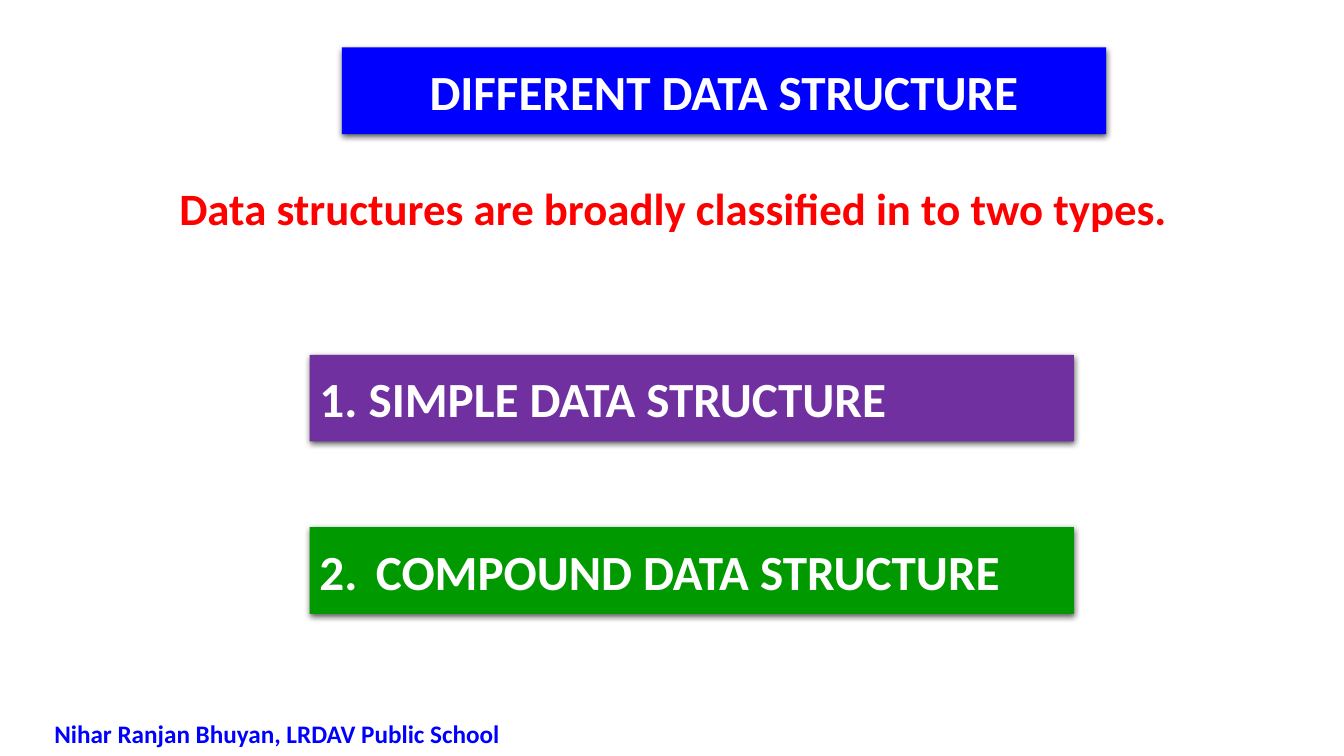
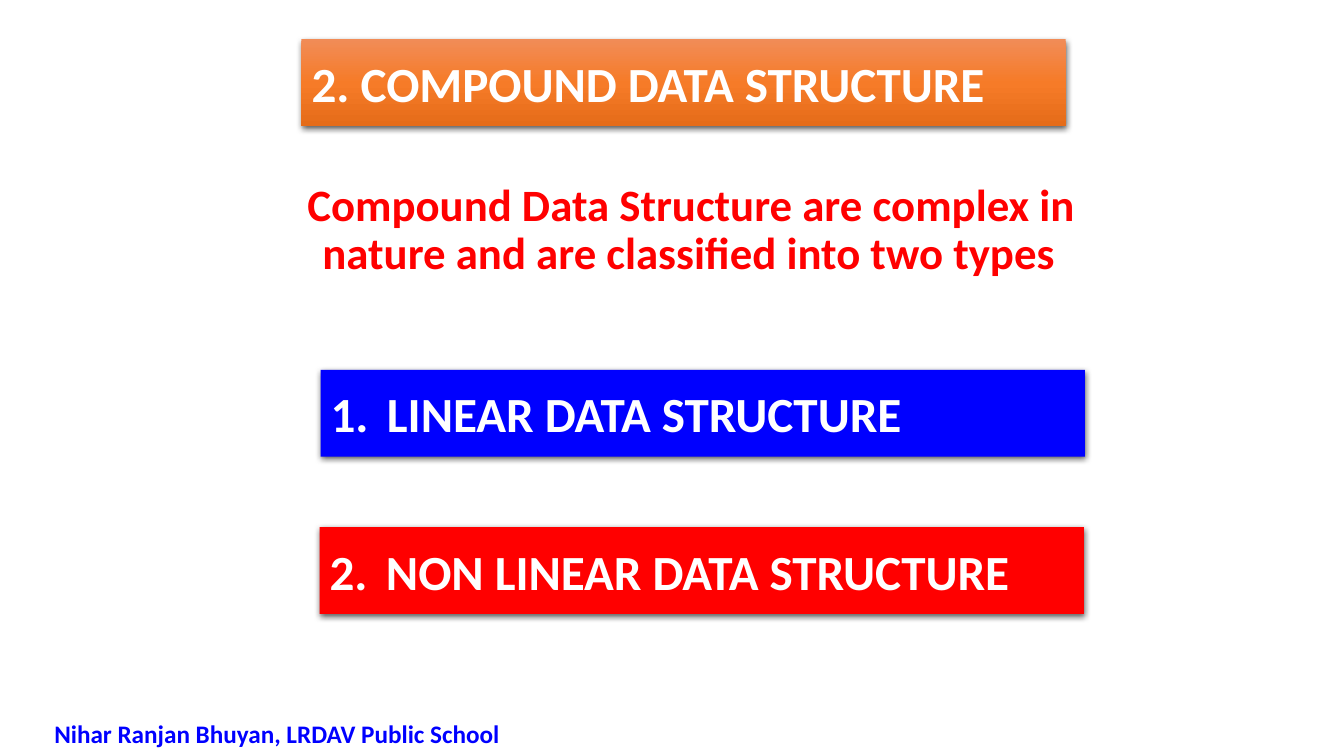
from copy import deepcopy
from dataclasses import dataclass

from lxml.etree import SubElement
from pptx import Presentation
from pptx.dml.color import RGBColor
from pptx.enum.shapes import MSO_SHAPE
from pptx.enum.text import MSO_ANCHOR, MSO_AUTO_SIZE, PP_ALIGN
from pptx.oxml.ns import qn
from pptx.shapes.autoshape import Shape
from pptx.slide import Slide
from pptx.text.text import TextFrame
from pptx.util import Inches, Length, Pt

WHITE = RGBColor(0xFF, 0xFF, 0xFF)
BLACK = RGBColor(0x00, 0x00, 0x00)
BLUE = RGBColor(0x00, 0x00, 0xFF)
RED = RGBColor(0xFF, 0x00, 0x00)
PURPLE = RGBColor(0x70, 0x30, 0xA0)
GREEN = RGBColor(0x00, 0x99, 0x00)
ORANGES = (
    RGBColor(0xF1, 0x8C, 0x57),
    RGBColor(0xF6, 0x7B, 0x28),
    RGBColor(0xE5, 0x6C, 0x19),
)

FONT = "Calibri"
BAND_WIDTH = Inches(7.58)
BAND_HEIGHT = Inches(0.86)
BAND_INDENT = Inches(0.56)
FOOTER = "Nihar Ranjan Bhuyan, LRDAV Public School"


@dataclass(frozen=True)
class Band:
    text: str
    left: float
    top: float
    colors: tuple[RGBColor, ...]
    align: PP_ALIGN = PP_ALIGN.LEFT


@dataclass(frozen=True)
class Intro:
    text: str
    left: float
    top: float
    width: float
    height: float
    first_line: float
    align: PP_ALIGN = PP_ALIGN.LEFT


@dataclass(frozen=True)
class Page:
    title: Band
    intro: Intro
    bands: tuple[Band, ...]


PAGES = (
    Page(
        Band("DIFFERENT DATA STRUCTURE", 3.39, 0.47, (BLUE,), PP_ALIGN.CENTER),
        Intro("Data structures are broadly classified in to two types.",
              1.18, 1.8, 11.06, 0.76, -0.25, PP_ALIGN.JUSTIFY),
        (
            Band("1. SIMPLE DATA STRUCTURE", 3.07, 3.52, (PURPLE,)),
            Band("2.\tCOMPOUND DATA STRUCTURE", 3.07, 5.23, (GREEN,)),
        ),
    ),
    Page(
        Band("2. COMPOUND DATA STRUCTURE", 2.99, 0.39, ORANGES),
        Intro("Compound Data Structure are complex in nature and are classified into two types",
              2.35, 1.76, 9.67, 1.41, -0.15),
        (
            Band("1.\tLINEAR DATA STRUCTURE", 3.18, 3.67, (BLUE,)),
            Band("2.\tNON LINEAR DATA STRUCTURE", 3.17, 5.23, (RED,)),
        ),
    ),
)


def write_text(
    frame: TextFrame,
    text: str,
    *,
    size: float,
    color: RGBColor,
    align: PP_ALIGN = PP_ALIGN.LEFT,
    anchor: MSO_ANCHOR = MSO_ANCHOR.TOP,
    margin: Length = Inches(0),
    first_line: Length = Inches(0),
    line_spacing: float = 1.0,
) -> None:
    frame.word_wrap = True
    frame.auto_size = MSO_AUTO_SIZE.NONE
    frame.vertical_anchor = anchor
    para = frame.paragraphs[0]
    para.alignment = align
    para.line_spacing = line_spacing
    properties = para._p.get_or_add_pPr()
    properties.set("marL", str(int(margin)))
    properties.set("indent", str(int(first_line)))
    span = para.add_run()
    span.text = text
    span.font.name = FONT
    span.font.size = Pt(size)
    span.font.bold = True
    span.font.color.rgb = color


def fill_shape(shape: Shape, colors: tuple[RGBColor, ...]) -> None:
    if len(colors) == 1:
        shape.fill.solid()
        shape.fill.fore_color.rgb = colors[0]
        return
    shape.fill.gradient()
    shape.fill.gradient_angle = 270
    stop_list = shape.element.xpath(".//a:gsLst")[0]
    while len(stop_list) < len(colors):
        stop_list.append(deepcopy(stop_list[0]))
    for index, (stop, color) in enumerate(zip(shape.fill.gradient_stops, colors)):
        stop.position = index / (len(colors) - 1)
        stop.color.rgb = color


def add_shadow(shape: Shape) -> None:
    shape.shadow.inherit = False
    effects = shape.element.xpath("./p:spPr/a:effectLst")[0]
    shadow = SubElement(
        effects, qn("a:outerShdw"), blurRad=str(int(Pt(4.5))),
        dist=str(int(Pt(1.5))), dir="5400000", algn="ctr", rotWithShape="0",
    )
    color = SubElement(shadow, qn("a:srgbClr"), val=str(BLACK))
    SubElement(color, qn("a:alpha"), val="63000")


def format_band(shape: Shape, band: Band) -> None:
    shape.left, shape.top = Inches(band.left), Inches(band.top)
    shape.width, shape.height = BAND_WIDTH, BAND_HEIGHT
    fill_shape(shape, band.colors)
    shape.line.fill.background()
    add_shadow(shape)
    margin = Inches(0) if band.align == PP_ALIGN.CENTER else BAND_INDENT
    write_text(shape.text_frame, band.text, size=35.1, color=WHITE,
               align=band.align, anchor=MSO_ANCHOR.MIDDLE,
               margin=margin, first_line=-margin)


def add_intro(slide: Slide, intro: Intro) -> None:
    box = slide.shapes.add_textbox(Inches(intro.left), Inches(intro.top),
                                   Inches(intro.width), Inches(intro.height))
    write_text(box.text_frame, intro.text, size=32, color=RED, align=intro.align,
               margin=Inches(0.75), first_line=Inches(intro.first_line),
               line_spacing=0.9)


def add_footer(slide: Slide) -> None:
    box = slide.shapes.add_textbox(Inches(0.44), Inches(7.08), Inches(4.77), Inches(0.4))
    write_text(box.text_frame, FOOTER, size=18, color=BLUE)


def main() -> None:
    deck = Presentation()
    deck.slide_width, deck.slide_height = Inches(13.33), Inches(7.5)
    title_only = deck.slide_layouts.get_by_name("Title Only")
    for page in PAGES:
        slide = deck.slides.add_slide(title_only)
        format_band(slide.shapes.title, page.title)
        add_intro(slide, page.intro)
        for band in page.bands:
            shape = slide.shapes.add_shape(MSO_SHAPE.RECTANGLE, 0, 0, BAND_WIDTH, BAND_HEIGHT)
            format_band(shape, band)
        add_footer(slide)
    deck.save("out.pptx")


if __name__ == "__main__":
    main()
